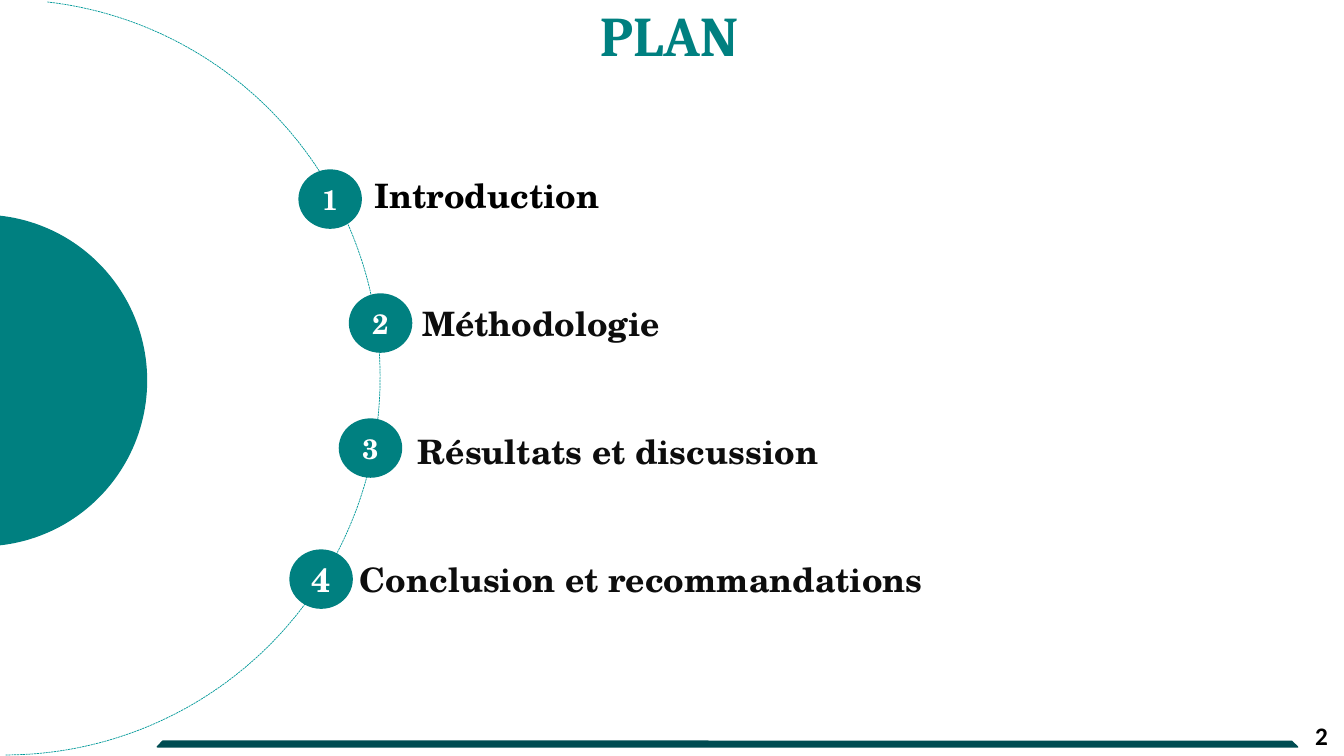
from math import cos, pi, sin, asin

from pptx import Presentation
from pptx.dml.color import RGBColor
from pptx.enum.dml import MSO_LINE
from pptx.enum.shapes import MSO_SHAPE
from pptx.enum.text import MSO_ANCHOR, MSO_AUTO_SIZE, PP_ALIGN
from pptx.util import Inches, Pt

OVAL = MSO_SHAPE.OVAL
STRIPE = MSO_SHAPE.DIAGONAL_STRIPE
DASH = MSO_LINE.SQUARE_DOT
MIDDLE = MSO_ANCHOR.MIDDLE
FIXED = MSO_AUTO_SIZE.NONE
LEFT, CENTER, RIGHT = PP_ALIGN.LEFT, PP_ALIGN.CENTER, PP_ALIGN.RIGHT

WIDTH, HEIGHT = 13.33, 7.5
COLS, ROWS = 133.3, 75
TEAL, DEEP, ARC = "008080", "004C52", "009999"
BLACK, INK, WHITE = "000000", "0D0D0D", "FFFFFF"
SERIF = "TeX Gyre Schola"


def color(code):
    return RGBColor.from_string(code)


def apply(item, values):
    for name, value in values.items():
        setattr(item, name, value)


class Board:
    frame = {"word_wrap": True, "auto_size": FIXED, "vertical_anchor": MIDDLE}

    def __init__(self, slide):
        self.slide = slide
        self.shapes = slide.shapes

    def x(self, cols):
        return Inches(cols * WIDTH / COLS)

    def y(self, rows):
        return Inches(rows * HEIGHT / ROWS)

    def box(self, left, top, width, height):
        return self.x(left), self.y(top), self.x(width), self.y(height)

    def letter(self, shape, text, size, ink, font=SERIF, align=CENTER):
        frame = shape.text_frame
        apply(frame, self.frame)
        par = frame.paragraphs[0]
        par.alignment = align
        run = par.add_run()
        run.text = text
        apply(run.font, {"name": font, "size": Pt(size), "bold": True})
        run.font.color.rgb = color(ink)
        return par

    def title(self, area, text):
        shape = self.shapes.title
        apply(shape, dict(zip(("left", "top", "width", "height"), self.box(*area))))
        par = self.letter(shape, text, 40, TEAL, "Cambria", LEFT)
        par.line_spacing = 0.9

    def label(self, area, text, size, ink, **style):
        self.letter(self.shapes.add_textbox(*self.box(*area)), text, size, ink, **style)

    def solid(self, kind, area, fill):
        shape = self.shapes.add_shape(kind, *self.box(*area))
        shape.shadow.inherit = False
        shape.fill.solid()
        shape.fill.fore_color.rgb = color(fill)
        shape.line.fill.background()
        return shape

    def badge(self, left, top, text, size):
        disc = self.solid(OVAL, (left, top, 6.3, 5.9), TEAL)
        apply(disc.text_frame, dict.fromkeys(
            ("margin_left", "margin_right", "margin_top", "margin_bottom"), 0))
        self.letter(disc, text, size, WHITE)

    def stripe(self, area, turn, ratio, fill):
        shape = self.solid(STRIPE, area, fill)
        shape.rotation = turn
        shape.adjustments[0] = ratio
        shape.line.color.rgb = color(fill)
        shape.line.width = Pt(1)

    def arc(self, center, radii, start, end, steps=144):
        angles = [start + (end - start) * i / steps for i in range(steps + 1)]
        points = [(self.x(center[0] + radii[0] * cos(a)),
                   self.y(center[1] + radii[1] * sin(a))) for a in angles]
        outline = self.shapes.build_freeform(*points[0])
        outline.add_line_segments(points[1:], close=False)
        curve = outline.convert_to_shape()
        curve.shadow.inherit = False
        curve.fill.background()
        curve.line.color.rgb = color(ARC)
        apply(curve.line, {"width": Pt(0.5), "dash_style": DASH})


def main():
    deck = Presentation()
    apply(deck, {"slide_width": Inches(WIDTH), "slide_height": Inches(HEIGHT)})
    board = Board(deck.slides.add_slide(deck.slide_layouts[5]))

    board.label((102.7, 71, 30, 4), "2", 18, BLACK, font="Calibri", align=RIGHT)
    board.arc((0.5, 37.43), (37.2, 37.47), asin(4.2 / 37.2) - pi / 2, pi / 2)
    board.title((58.5, 0.3, 18.1, 7.1), "PLAN")
    board.solid(OVAL, (-18.2, 21.3, 32.8, 32.9), TEAL)

    parts = [
        ("Introduction", 29.4, 37.8, BLACK, 29.6, 16.8, 20),
        ("Méthodologie", 22.6, 62.2, INK, 34.6, 29.1, 20),
        ("Résultats et discussion", 34.9, 52.8, INK, 33.6, 41.5, 20),
        ("Conclusion et recommandations", 33.3, 60.6, INK, 28.7, 54.5, 24),
    ]
    for i, (text, left, width, ink, disc, top, size) in enumerate(parts):
        board.label((left, 14.7 + 12.7 * i, width, 9.3), text, 24, ink)
        board.badge(disc, top, str(i + 1), size)

    board.stripe((31.2, 35.1, 81.9, 78), 43.6, 0.99, DEEP)
    deck.save("out.pptx")


if __name__ == "__main__":
    main()
